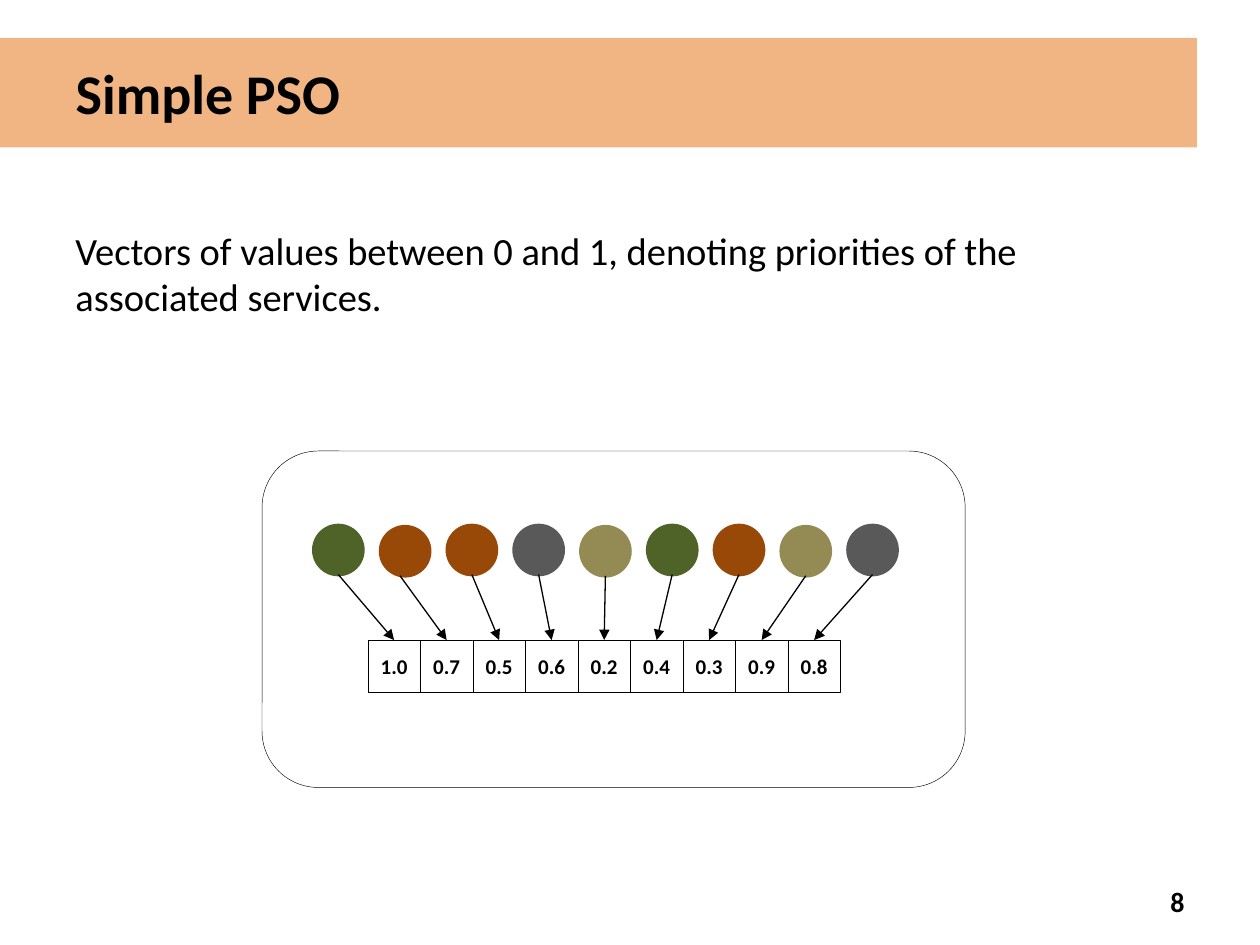
from lxml import etree
from pptx import Presentation
from pptx.dml.color import RGBColor
from pptx.enum.shapes import MSO_CONNECTOR, MSO_SHAPE
from pptx.enum.text import MSO_ANCHOR, MSO_AUTO_SIZE, PP_ALIGN
from pptx.oxml.ns import qn
from pptx.util import Inches, Pt

LEFT, CENTER, RIGHT = PP_ALIGN.LEFT, PP_ALIGN.CENTER, PP_ALIGN.RIGHT
TOP, MIDDLE = MSO_ANCHOR.TOP, MSO_ANCHOR.MIDDLE
RECT, ROUNDED, OVAL = MSO_SHAPE.RECTANGLE, MSO_SHAPE.ROUNDED_RECTANGLE, MSO_SHAPE.OVAL
STRAIGHT = MSO_CONNECTOR.STRAIGHT
NO_AUTOFIT = MSO_AUTO_SIZE.NONE
TITLE_ONLY = 5
TOP_SIDE = 0

COLORS = {
    "black": "000000", "white": "FFFFFF", "banner": "E46C0A",
    "green": "4F6228", "brown": "984807", "gray": "595959", "khaki": "948A54",
}


class SlideBuilder:
    font_name = "Calibri"

    def __init__(self, presentation):
        self.slide = presentation.slides.add_slide(presentation.slide_layouts[TITLE_ONLY])
        self.shapes = self.slide.shapes

    def color(self, name):
        return RGBColor.from_string(COLORS[name])

    def paint(self, shape, fill, line, line_width):
        shape.shadow.inherit = False
        shape.fill.solid()
        shape.fill.fore_color.rgb = self.color(fill)
        shape.line.color.rgb = self.color(line)
        shape.line.width = Pt(line_width)

    def set_text(self, shape, text, size, bold=False, align=LEFT, anchor=MIDDLE, before=0):
        frame = shape.text_frame
        frame_format = {"word_wrap": True, "auto_size": NO_AUTOFIT, "vertical_anchor": anchor}
        for name, value in frame_format.items():
            setattr(frame, name, value)
        paragraph = frame.paragraphs[0]
        paragraph.alignment = align
        paragraph.space_before = Pt(before)
        run = paragraph.add_run()
        run.text = text
        font_format = {"name": self.font_name, "size": Pt(size), "bold": bold}
        for name, value in font_format.items():
            setattr(run.font, name, value)
        run.font.color.rgb = self.color("black")

    def title(self, text, box, opacity):
        title = self.shapes.title
        for name, value in zip(("left", "top", "width", "height"), box):
            setattr(title, name, Inches(value))
        title.fill.solid()
        title.fill.fore_color.rgb = self.color("banner")
        banner_color = title._element.spPr.find(f"{qn('a:solidFill')}/{qn('a:srgbClr')}")
        etree.SubElement(banner_color, qn("a:alpha"), val=str(opacity * 1000))
        self.set_text(title, text, 32, bold=True)

    def text(self, text, box, size, **style):
        self.set_text(self.shapes.add_textbox(*map(Inches, box)), text, size, **style)

    def shape(self, kind, box, fill, line, line_width):
        shape = self.shapes.add_shape(kind, *map(Inches, box))
        self.paint(shape, fill, line, line_width)
        return shape

    def arrow(self, x, y, target):
        arrow = self.shapes.add_connector(STRAIGHT, Inches(x), Inches(y), Inches(x), Inches(y))
        arrow.end_connect(target, TOP_SIDE)
        arrow.line.color.rgb = self.color("black")
        arrow.line.width = Pt(0.75)
        properties = arrow._element.spPr
        etree.SubElement(properties.find(qn("a:ln")), qn("a:tailEnd"), type="triangle")
        etree.SubElement(properties, qn("a:effectLst"))


def main():
    presentation = Presentation()
    presentation.slide_width, presentation.slide_height = Inches(10), Inches(7.5)
    builder = SlideBuilder(presentation)

    # Heading, page number and explanation
    builder.title("\tSimple PSO", (0, 0.3, 9.5, 0.87), opacity=50)
    builder.text("8", (7.17, 6.95, 2.33, 0.4), 16, bold=True, align=RIGHT)
    builder.text(
        "Vectors of values between 0 and 1, denoting priorities of the associated services.",
        (0.5, 1.75, 9, 0.83), 22, anchor=TOP, before=5.5)

    # Frame around the diagram
    frame = builder.shape(ROUNDED, (2.08, 3.58, 5.58, 2.67), "white", "black", 0.25)
    frame.adjustments[0] = 0.167

    # Priority, service colour, service top, shift of the arrow's start
    services = [
        ("1.0", "green", 4.17, 0), ("0.7", "brown", 4.18, -0.04), ("0.5", "brown", 4.17, 0),
        ("0.6", "gray", 4.17, 0), ("0.2", "khaki", 4.18, 0), ("0.4", "green", 4.17, 0),
        ("0.3", "brown", 4.17, 0), ("0.9", "khaki", 4.18, 0), ("0.8", "gray", 4.17, 0),
    ]
    row_left, row_top, cell_size = 2.92, 5.08, 3.75 / len(services)
    service_left, service_pitch, service_size = 2.49, 0.53, 0.39

    # Row of priorities
    cells = []
    for i, (priority, *_) in enumerate(services):
        box = (row_left + i * cell_size, row_top, cell_size, cell_size)
        cell = builder.shape(RECT, box, "white", "black", 0.25)
        builder.set_text(cell, priority, 12, bold=True, align=CENTER)
        cells.append(cell)

    # Services, each pointing at its priority
    for i, (cell, (_, color, top, shift)) in enumerate(zip(cells, services)):
        left = service_left + i * service_pitch
        builder.shape(OVAL, (left, top, service_size, service_size), color, color, 2)
        builder.arrow(left + service_size / 2 + shift, top + service_size, cell)

    presentation.save("out.pptx")


if __name__ == "__main__":
    main()
